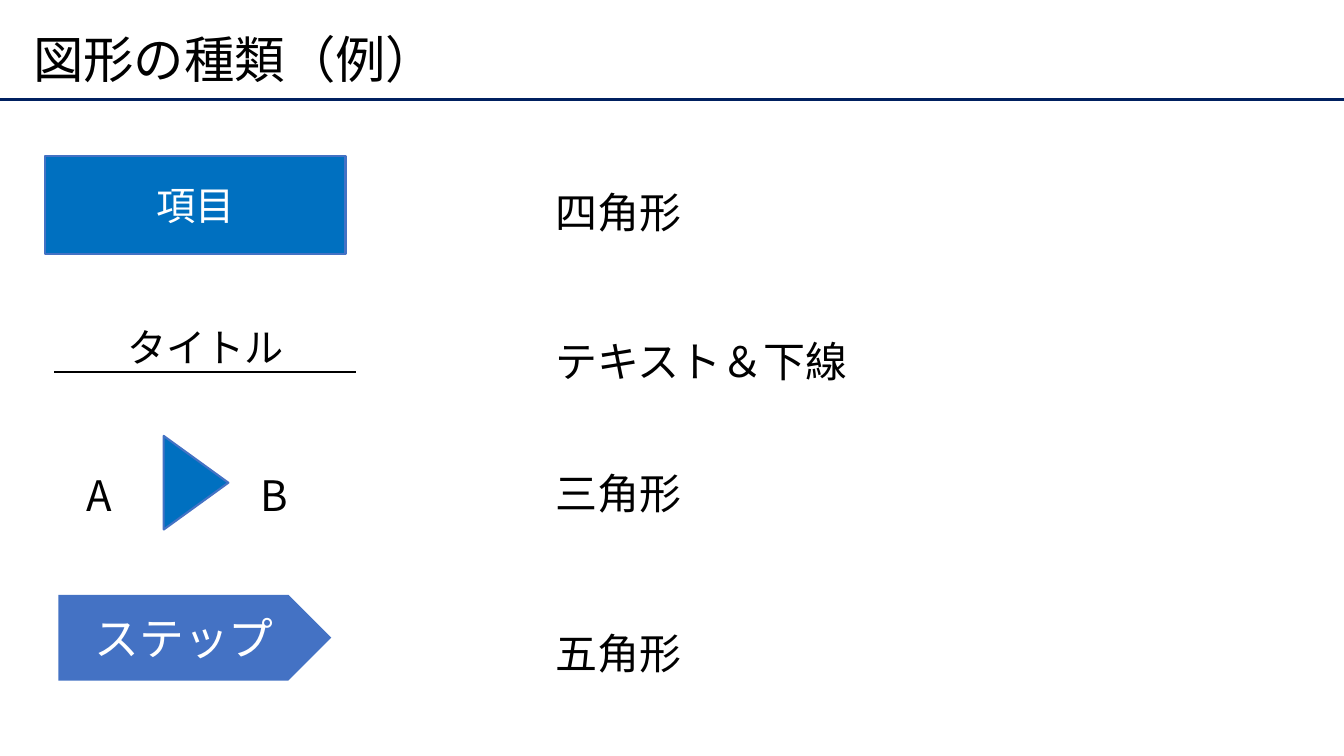
"""Build a slide that shows example kinds of shapes beside their names."""
from lxml import etree
from pptx import Presentation
from pptx.dml.color import RGBColor
from pptx.enum import shapes, text
from pptx.oxml import ns
from pptx.util import Cm, Pt

FONT = "Noto Sans CJK JP"
BLACK = RGBColor(0x00, 0x00, 0x00)
WHITE = RGBColor(0xFF, 0xFF, 0xFF)
NAVY = RGBColor(0x00, 0x20, 0x60)
BLUE = RGBColor(0x00, 0x70, 0xC0)
STEEL = RGBColor(0x44, 0x72, 0xC4)
KIND = shapes.MSO_SHAPE
LEFT, MID = text.PP_ALIGN.LEFT, text.PP_ALIGN.CENTER


def write(shape, words, size, color, align, gap=1.0, anchor=text.MSO_ANCHOR.MIDDLE):
    frame = shape.text_frame
    frame.word_wrap = True
    frame.vertical_anchor = anchor
    frame.text = words
    para = frame.paragraphs[0]
    para.alignment, para.line_spacing = align, gap
    para.font.size, para.font.name = Pt(size), FONT
    para.font.color.rgb = color
    props = para._p.get_or_add_pPr().get_or_add_defRPr()
    etree.SubElement(props, ns.qn("a:ea"), typeface=FONT)


def rule(host, left, right, top, color, width):
    line = host.add_connector(shapes.MSO_CONNECTOR.STRAIGHT, Cm(left), Cm(top), Cm(right), Cm(top))
    line.line.color.rgb, line.line.width = color, Pt(width)
    etree.SubElement(line._element.spPr, ns.qn("a:effectLst"))


deck = Presentation()
deck.slide_width, deck.slide_height = Cm(33.87), Cm(19.05)
slide = deck.slides.add_slide(deck.slide_layouts[5])
items = slide.shapes

rule(items, 0, 33.87, 2.51, NAVY, 2.25)
title = items.title
title.left, title.top, title.width, title.height = Cm(0.58), Cm(0.51), Cm(32), Cm(2.13)
write(title, "図形の種類（例）", 36, BLACK, LEFT, 0.9)

samples = [
    (KIND.RECTANGLE, (1.14, 3.94, 7.57, 2.46), BLUE, True, 0, "項目", 28),
    (KIND.PENTAGON, (1.47, 14.99, 6.88, 2.16), STEEL, False, 0, "ステップ", 32),
    (KIND.ISOSCELES_TRIANGLE, (3.76, 11.35, 2.36, 1.63), BLUE, True, 90, "", 28),
]
for kind, box, fill, edge, turn, words, size in samples:
    shape = items.add_shape(kind, *map(Cm, box))
    shape.shadow.inherit = False
    shape.rotation = turn
    shape.fill.solid()
    shape.fill.fore_color.rgb = fill
    if edge:
        shape.line.color.rgb, shape.line.width = STEEL, Pt(1.5)
    else:
        shape.line.fill.background()
    if words:
        write(shape, words, size, WHITE, MID)

group = items.add_group_shape().shapes
head = group.add_textbox(Cm(1.14), Cm(8.03), Cm(8.08), Cm(1.45))
write(head, "タイトル", 28, BLACK, MID, anchor=text.MSO_ANCHOR.TOP)
rule(group, 1.37, 8.97, 9.37, BLACK, 1.5)

labels = [
    ("四角形", 13.74, 3.94, 14.83),
    ("テキスト＆下線", 13.74, 7.7, 14.83),
    ("三角形", 13.74, 11.02, 14.83),
    ("五角形", 13.74, 15.06, 14.83),
    ("A", 1.93, 11.07, 1.24),
    ("B", 6.32, 11.07, 1.24),
]
for words, left, top, width in labels:
    label = items.add_textbox(Cm(left), Cm(top), Cm(width), Cm(2.01))
    write(label, words, 30, BLACK, LEFT, 1.5, text.MSO_ANCHOR.TOP)

deck.save("out.pptx")
